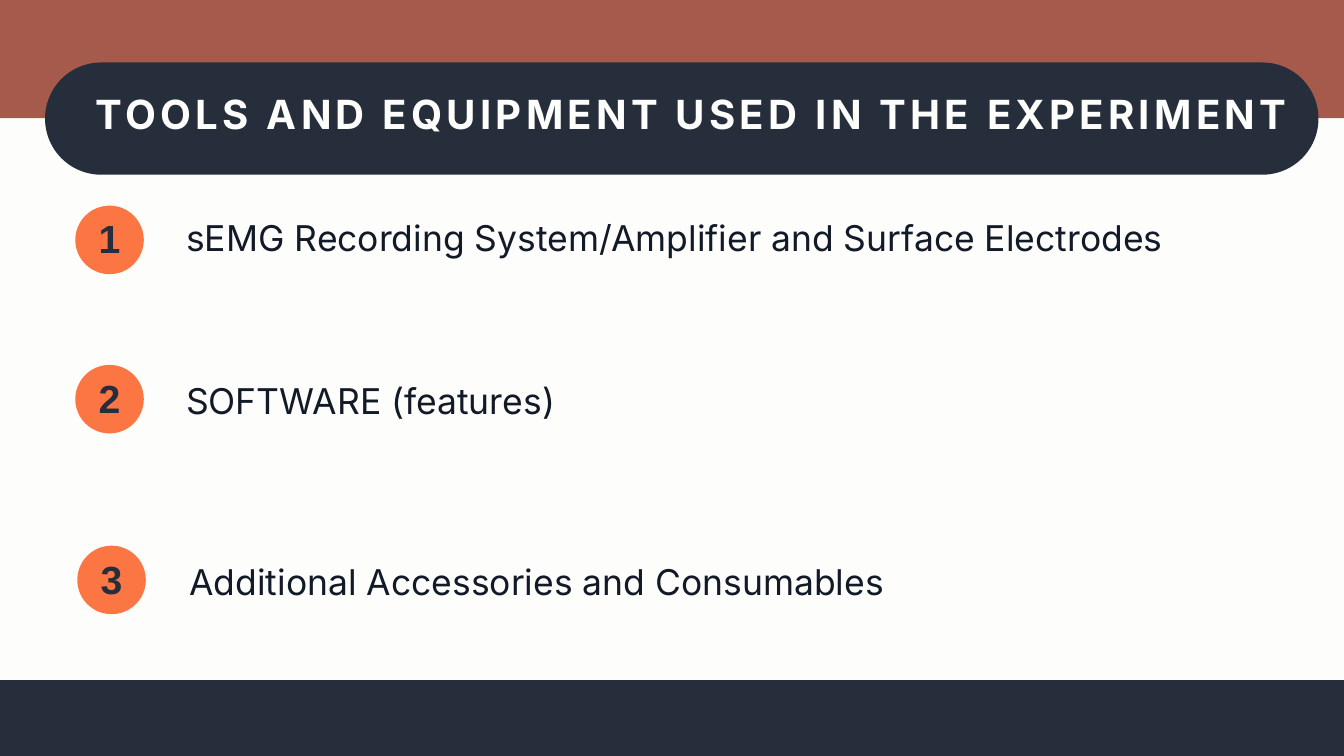
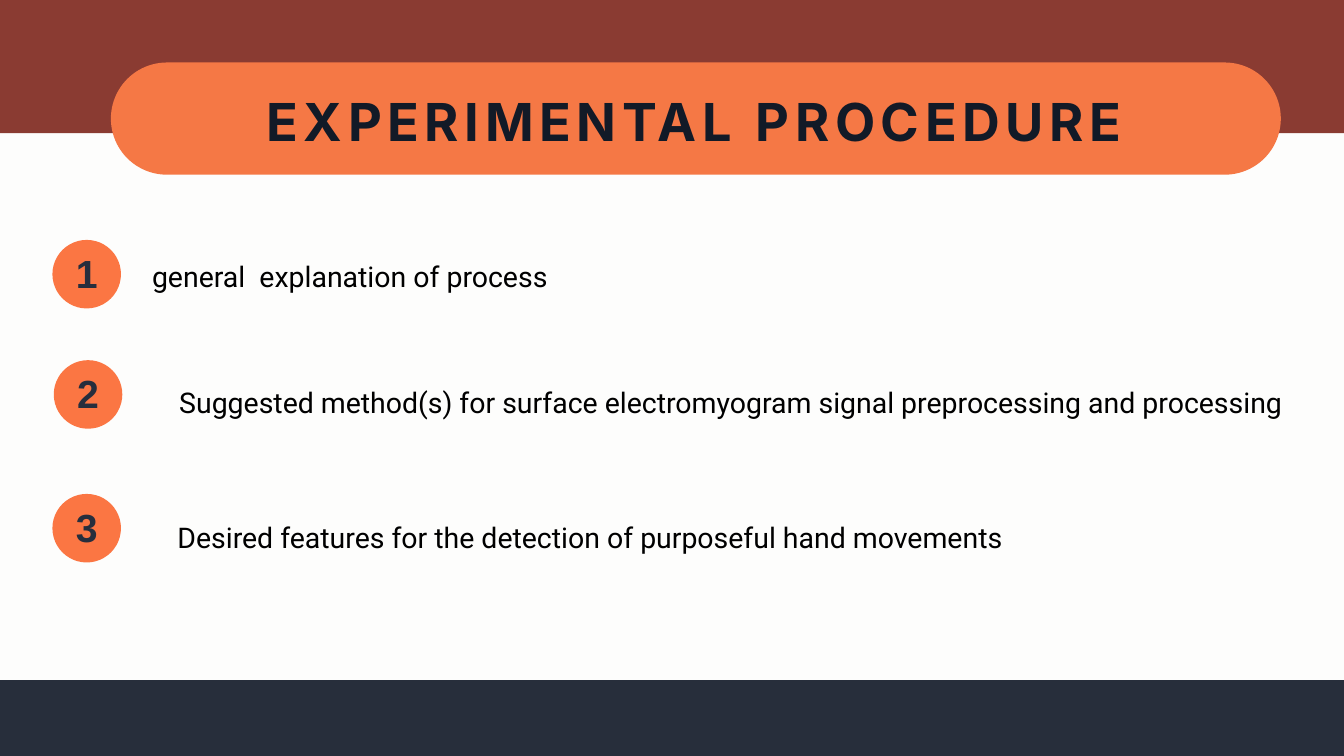
from pptx import Presentation
from pptx.dml.color import RGBColor
from pptx.enum.shapes import MSO_SHAPE
from pptx.enum.text import MSO_AUTO_SIZE, PP_ALIGN
from pptx.util import Inches, Pt

RECTANGLE = MSO_SHAPE.RECTANGLE
PILL = MSO_SHAPE.ROUNDED_RECTANGLE
OVAL = MSO_SHAPE.OVAL
LEFT, CENTER = PP_ALIGN.LEFT, PP_ALIGN.CENTER
GROW = MSO_AUTO_SIZE.SHAPE_TO_FIT_TEXT

WIDTH, HEIGHT = 20, 11.25
FOOTER_TOP = 10.12
PILL_TOP, PILL_HEIGHT = 0.93, 1.67
BADGE = 1.02
NUMBER_WIDTH, NUMBER_HEIGHT, NUMBER_DROP = 0.69, 0.84, 0.02
LEADING = 1.4  # line height as a share of the text size

COLORS = {
    "paper": "FDFDFC",
    "navy": "272E3B",
    "number": "262E3D",
    "ink": "121A27",
    "black": "000000",
    "clay": "A65A4B",
    "brick": "8A3B32",
    "orange": "F57845",
    "badge": "FB7643",
}

NUMBER_STYLE = {"font": "Arial", "size": 42, "color": "number", "bold": True, "align": CENTER}

# Boxes are (left, top, width, height) in inches.
# Each item: text, badge (left, top), text box.
SLIDES = [
    {
        "band": ("clay", 1.76),
        "pill": ("navy", 0.67, 18.95),
        "title": "TOOLS AND EQUIPMENT USED IN THE EXPERIMENT",
        "title_box": (1.31, 1.21, 17.97, 1.64),
        "title_style": {"size": 43, "color": "paper", "spacing": 4.6},
        "item_style": {"font": "Inter", "size": 38, "color": "ink", "align": LEFT},
        "items": [
            ("sEMG Recording System/Amplifier and Surface Electrodes",
             (1.12, 3.06), (2.77, 3.11, 15.09, 0.72)),
            ("SOFTWARE (features)", (1.12, 5.43), (2.77, 5.54, 10.54, 0.72)),
            ("Additional Accessories and Consumables",
             (1.15, 8.12), (2.82, 8.23, 10.54, 0.72)),
        ],
    },
    {
        "band": ("brick", 1.98),
        "pill": ("orange", 1.65, 17.41),
        "title": "EXPERIMENTAL PROCEDURE",
        "title_box": (2.56, 1.17, 15.55, 1.05),
        "title_style": {"size": 56, "color": "ink", "spacing": 6},
        "item_style": {"font": "Roboto", "size": 30.5, "color": "black", "align": CENTER},
        "items": [
            ("general  explanation of process", (0.78, 3.57), (1.93, 3.77, 6.55, 0.56)),
            ("Suggested method(s) for surface electromyogram signal preprocessing and processing",
             (0.8, 5.36), (1.93, 5.65, 17.89, 0.56)),
            ("Desired features for the detection of purposeful hand movements",
             (0.78, 7.35), (1.93, 7.66, 13.7, 0.56)),
        ],
    },
]


def rgb(name):
    return RGBColor.from_string(COLORS[name])


def add_block(slide, kind, box, color):
    shape = slide.shapes.add_shape(kind, *map(Inches, box))
    shape.shadow.inherit = False
    shape.fill.solid()
    shape.fill.fore_color.rgb = rgb(color)
    shape.line.fill.background()
    return shape


def add_text(slide, box, text, font, size, color, align, bold=False, spacing=0):
    """Add one line of text without margins; spacing is between letters, in points."""
    frame = slide.shapes.add_textbox(*map(Inches, box)).text_frame
    frame.margin_left = frame.margin_top = frame.margin_right = frame.margin_bottom = 0
    frame.word_wrap = True
    frame.auto_size = GROW
    paragraph = frame.paragraphs[0]
    paragraph.alignment = align
    paragraph.line_spacing = Pt(size * LEADING)
    run = paragraph.add_run()
    run.text = text
    run.font.name = font
    run.font.size = Pt(size)
    run.font.bold = bold
    run.font.color.rgb = rgb(color)
    if spacing:
        run._r.get_or_add_rPr().set("spc", str(round(spacing * 100)))


def add_frame(slide, content):
    """Add the background, both bands and the title pill."""
    slide.background.fill.solid()
    slide.background.fill.fore_color.rgb = rgb("paper")
    band_color, band_height = content["band"]
    add_block(slide, RECTANGLE, (0, 0, WIDTH, band_height), band_color)
    pill_color, left, width = content["pill"]
    pill = add_block(slide, PILL, (left, PILL_TOP, width, PILL_HEIGHT), pill_color)
    pill.adjustments[0] = 0.5
    add_text(slide, content["title_box"], content["title"], font="Inter",
             align=CENTER, bold=True, **content["title_style"])
    add_block(slide, RECTANGLE, (0, FOOTER_TOP, WIDTH, HEIGHT - FOOTER_TOP), "navy")


def add_badge(slide, left, top, number):
    add_block(slide, OVAL, (left, top, BADGE, BADGE), "badge")
    number_left = left + (BADGE - NUMBER_WIDTH) / 2
    add_text(slide, (number_left, top + NUMBER_DROP, NUMBER_WIDTH, NUMBER_HEIGHT),
             str(number), **NUMBER_STYLE)


def main():
    presentation = Presentation()
    presentation.slide_width = Inches(WIDTH)
    presentation.slide_height = Inches(HEIGHT)
    blank = presentation.slide_layouts[6]
    for content in SLIDES:
        slide = presentation.slides.add_slide(blank)
        add_frame(slide, content)
        for number, (text, badge_corner, text_box) in enumerate(content["items"], 1):
            add_badge(slide, *badge_corner, number)
            add_text(slide, text_box, text, **content["item_style"])
    presentation.save("out.pptx")


if __name__ == "__main__":
    main()
